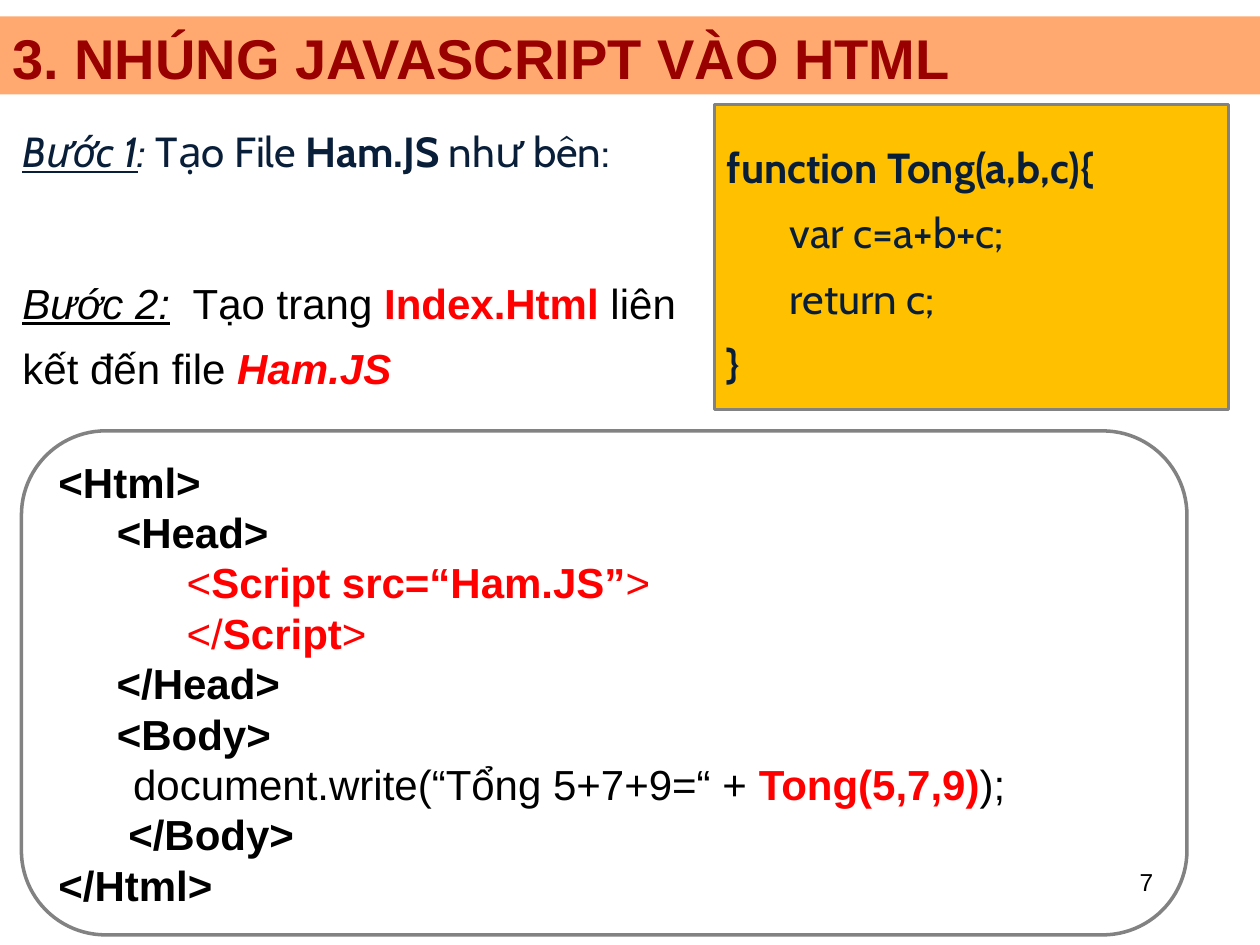
from lxml import etree
from pptx import Presentation
from pptx.dml.color import RGBColor
from pptx.enum.shapes import MSO_SHAPE
from pptx.enum.text import MSO_ANCHOR, PP_ALIGN
from pptx.oxml.ns import qn
from pptx.util import Inches, Pt

RECT, ROUND = MSO_SHAPE.RECTANGLE, MSO_SHAPE.ROUNDED_RECTANGLE
TOP, MIDDLE = MSO_ANCHOR.TOP, MSO_ANCHOR.MIDDLE
LEFT, RIGHT = PP_ALIGN.LEFT, PP_ALIGN.RIGHT

COLORS = {
    "banner": "FF6600", "title": "990000", "gold": "FFC000", "edge": "828282",
    "navy": "091F39", "black": "000000", "red": "FF0000",
}


def color(name):
    return RGBColor.from_string(COLORS[name])


class Deck:
    def __init__(self, width, height):
        self.deck = Presentation()
        self.deck.slide_width, self.deck.slide_height = Inches(width), Inches(height)
        self.slide = self.deck.slides.add_slide(self.deck.slide_layouts[6])

    def label(self, shape, lines, font="Arial", size=24, ink="black",
              anchor=TOP, align=LEFT, space=1.0):
        """Fill a shape with lines of (text, flags) runs.

        Flags: b bold, i italic, u underlined, r red.
        """
        frame = shape.text_frame
        frame.word_wrap = True
        frame.vertical_anchor = anchor
        for index, line in enumerate(lines):
            para = frame.add_paragraph() if index else frame.paragraphs[0]
            para.alignment, para.line_spacing = align, space
            for text, flags in line:
                run = para.add_run()
                run.text = text
                run.font.name, run.font.size = font, Pt(size)
                run.font.bold = "b" in flags
                run.font.italic = "i" in flags
                run.font.underline = "u" in flags
                run.font.color.rgb = color("red" if "r" in flags else ink)

    def text(self, box, lines, **style):
        shape = self.slide.shapes.add_textbox(*map(Inches, box))
        self.label(shape, lines, **style)

    def panel(self, kind, box, fill=None, edge=None, bend=None, alpha=None):
        shape = self.slide.shapes.add_shape(kind, *map(Inches, box))
        shape.shadow.inherit = False
        if bend is not None:
            shape.adjustments[0] = bend
        if fill:
            shape.fill.solid()
            shape.fill.fore_color.rgb = color(fill)
        else:
            shape.fill.background()
        if alpha:
            tint = shape.element.spPr.find(".//" + qn("a:srgbClr"))
            etree.SubElement(tint, qn("a:alpha"), val=str(alpha * 1000))
        if edge:
            shape.line.color.rgb = color(edge)
            shape.line.width = Pt(2)
        else:
            shape.line.fill.background()
        return shape


def main():
    deck = Deck(10, 7.5)
    deck.text((7.17, 6.83, 2.08, 0.5), [[("7", "")]], size=14, align=RIGHT)

    deck.panel(RECT, (0, 0.13, 10, 0.62), fill="banner", alpha=56)
    deck.text((0, 0.24, 10, 0.42), [[("3. NHÚNG JAVASCRIPT VÀO HTML", "b")]],
              size=32, ink="title", anchor=MIDDLE)

    code = deck.panel(ROUND, (5.67, 0.83, 4.08, 2.42), "gold", "edge", bend=0)
    deck.label(code, [
        [("function Tong(a,b,c){", "b")],
        [("\tvar c=a+b+c;", "")],
        [("\treturn c;", "")],
        [("}", "b")],
    ], font="Cabin", ink="navy", anchor=MIDDLE, space=1.3)

    deck.text((0.08, 0.83, 5.5, 0.62), [[
        ("Bước 1", "iu"), (": ", "i"), ("Tạo File ", ""),
        ("Ham.JS", "b"), (" như bên:", ""),
    ]], font="Cabin", ink="navy", space=1.3)

    page = deck.panel(ROUND, (0.17, 3.42, 9.25, 4), edge="edge", bend=0.167)
    deck.label(page, [
        [("<Html>", "b")],
        [("     ", ""), ("<Head>", "b")],
        [("           <", "r"), ("Script src=“Ham.JS”", "br"), (">", "r")],
        [("           </", "r"), ("Script", "br"), (">", "r")],
        [("     </Head>", "b")],
        [("     ", ""), ("<Body>", "b")],
        [("\t document.write(“Tổng 5+7+9=“ + ", ""), ("Tong(5,7,9)", "br"), (");", "")],
        [("      </Body>", "b")],
        [("</Html>", "b")],
    ], anchor=MIDDLE)

    deck.text((0.08, 2.03, 5.5, 1.14), [[
        ("Bước 2:", "iu"), ("  Tạo trang ", ""), ("Index.Html", "br"),
        (" liên kết đến file ", ""), ("Ham.JS", "bir"),
    ]], space=1.3)

    deck.deck.save("out.pptx")


if __name__ == "__main__":
    main()
